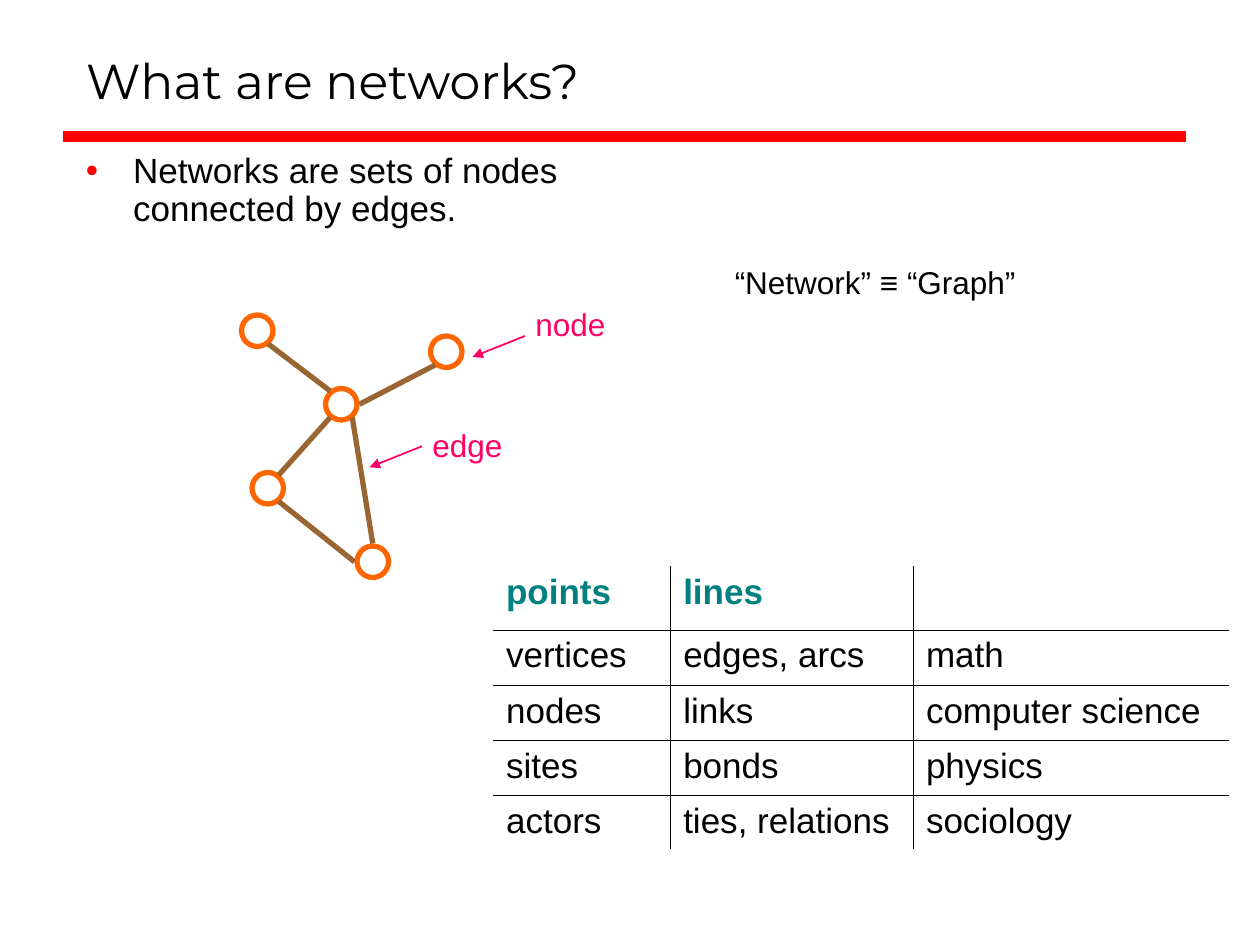
from dataclasses import dataclass

import pptx
import pptx.dml.color
import pptx.enum.shapes
import pptx.enum.text
import pptx.oxml
import pptx.oxml.ns
import pptx.util

PER_INCH = 12  # grid columns and rows to the inch
COLUMNS, ROWS = 120, 90
NODE_RADIUS = 1.5
DIAGONAL = (1.05, 1.26)
SIDE = 1.74


@dataclass(frozen=True)
class Theme:
    ink: str = "000000"
    rule: str = "FF0000"
    heading: str = "008080"
    node: str = "FF6600"
    edge: str = "996633"
    label: str = "FF0066"
    title_font: str = "Montserrat"
    body_font: str = "Arial"
    title_size: int = 28
    body_size: int = 20
    label_size: int = 18


@dataclass(frozen=True)
class Node:
    x: float
    y: float

    def port(self, east: int, south: int) -> tuple[float, float]:
        """Point just outside the circle in a compass direction (-1, 0 or 1 each way)."""
        dx, dy = DIAGONAL if east and south else (SIDE, SIDE)
        return self.x + east * dx, self.y + south * dy


@dataclass(frozen=True)
class Edge:
    start: str
    leaving: tuple[int, int]
    end: str
    arriving: tuple[int, int]


@dataclass(frozen=True)
class Callout:
    text: str
    left: float
    top: float
    arrow_start: tuple[float, float]


THEME = Theme()
NODES = {
    "hub": Node(32.5, 38.5),
    "east": Node(42.5, 33.5),
    "west": Node(25.5, 46.5),
    "south": Node(35.5, 53.5),
    "north": Node(24.5, 31.5),
}
EDGES = [
    Edge("north", (1, 1), "hub", (-1, -1)),
    Edge("hub", (-1, 1), "west", (1, -1)),
    Edge("hub", (1, 1), "south", (0, -1)),
    Edge("west", (1, 1), "south", (-1, 0)),
    Edge("hub", (1, 0), "east", (-1, 1)),
]
CALLOUTS = [
    Callout("node", 49.8, 28.45, (50, 32)),
    Callout("edge", 40, 40, (40.2, 42.5)),
]
CALLOUT_WIDTH = 10
LABEL_HEIGHT = 4.8
ARROW_REACH = (-5, 2)
TERMS = [
    ("points", "lines", ""),
    ("vertices", "edges, arcs", "math"),
    ("nodes", "links", "computer science"),
    ("sites", "bonds", "physics"),
    ("actors", "ties, relations", "sociology"),
]
TERM_COLUMNS = (16.88, 23.12, 30)
HEADER_ROW, TERM_ROW = 6, 5.24


def grid(cells: float) -> pptx.util.Emu:
    return pptx.util.Inches(cells / PER_INCH)


def rgb(colour: str) -> pptx.dml.color.RGBColor:
    return pptx.dml.color.RGBColor.from_string(colour)


def add_xml(parent, markup: str) -> None:
    tag, rest = markup.split(" ", 1)
    parent.append(pptx.oxml.parse_xml(f"<{tag} {pptx.oxml.ns.nsdecls('a')} {rest}"))


def style(paragraph, size: int, colour: str, font: str = THEME.body_font, bold: bool = False) -> None:
    for run in paragraph.runs:
        run.font.name = font
        run.font.size = pptx.util.Pt(size)
        run.font.bold = bold
        run.font.color.rgb = rgb(colour)


def add_text(shapes, text: str, left: float, top: float, width: float, height: float,
             size: int, colour: str):
    box = shapes.add_textbox(grid(left), grid(top), grid(width), grid(height))
    box.text_frame.word_wrap = True
    box.text_frame.text = text
    paragraph = box.text_frame.paragraphs[0]
    style(paragraph, size, colour)
    return paragraph


def add_line(shapes, start: tuple[float, float], end: tuple[float, float],
             colour: str, width: float, arrow: bool = False) -> None:
    line = shapes.add_connector(pptx.enum.shapes.MSO_CONNECTOR.STRAIGHT,
                                *(grid(value) for value in (*start, *end)))
    line.line.color.rgb = rgb(colour)
    line.line.width = pptx.util.Pt(width)
    if arrow:
        add_xml(line.line._get_or_add_ln(), 'a:tailEnd type="triangle"/>')
    add_xml(line._element.spPr, "a:effectLst />")


def add_title(slide) -> None:
    title = slide.shapes.title
    title.left, title.top, title.width, title.height = map(grid, (7, 4, 108, 7))
    frame = title.text_frame
    frame.text = "What are networks?"
    frame.auto_size = pptx.enum.text.MSO_AUTO_SIZE.NONE
    frame.vertical_anchor = pptx.enum.text.MSO_ANCHOR.BOTTOM
    frame.paragraphs[0].alignment = pptx.enum.text.PP_ALIGN.LEFT
    style(frame.paragraphs[0], THEME.title_size, THEME.ink, THEME.title_font)


def add_definition(shapes) -> None:
    definition = add_text(shapes, "Networks are sets of nodes connected by edges.",
                          7, 14, 53, 9, THEME.body_size, THEME.ink)
    definition.line_spacing = 0.9
    properties = definition._p.get_or_add_pPr()
    indent = grid(4.5)
    properties.set("marL", str(indent))
    properties.set("indent", str(-indent))
    add_xml(properties, f'a:buClr ><a:srgbClr val="{THEME.rule}"/></a:buClr>')
    add_xml(properties, 'a:buFont typeface="Arial"/>')
    add_xml(properties, 'a:buChar char="•"/>')


def add_border(cell, side: str) -> None:
    add_xml(cell._tc.get_or_add_tcPr(),
            f'a:ln{side} w="{pptx.util.Pt(0.45)}"><a:solidFill><a:srgbClr val="{THEME.ink}"/>'
            f"</a:solidFill></a:ln{side}>")


def add_terms(shapes) -> None:
    """Table of vocabulary by field, ruled only between its cells."""
    heights = [HEADER_ROW] + [TERM_ROW] * (len(TERMS) - 1)
    table = shapes.add_table(len(TERMS), len(TERM_COLUMNS), grid(47), grid(54),
                             grid(sum(TERM_COLUMNS)), grid(sum(heights))).table
    table.horz_banding = False
    for column, width in zip(table.columns, TERM_COLUMNS):
        column.width = grid(width)
    for row, height in zip(table.rows, heights):
        row.height = grid(height)
    last_row, last_column = len(TERMS) - 1, len(TERM_COLUMNS) - 1
    for r, terms in enumerate(TERMS):
        for c, term in enumerate(terms):
            cell = table.cell(r, c)
            inner_sides = {"L": c > 0, "R": c < last_column, "T": r > 0, "B": r < last_row}
            for side, inner in inner_sides.items():
                if inner:
                    add_border(cell, side)
            cell.fill.background()
            cell.text_frame.text = term
            style(cell.text_frame.paragraphs[0], THEME.body_size,
                  THEME.ink if r else THEME.heading, bold=r == 0)


def add_network(shapes) -> None:
    for node in NODES.values():
        circle = shapes.add_shape(pptx.enum.shapes.MSO_SHAPE.OVAL,
                                  grid(node.x - NODE_RADIUS), grid(node.y - NODE_RADIUS),
                                  grid(2 * NODE_RADIUS), grid(2 * NODE_RADIUS))
        circle.shadow.inherit = False
        circle.fill.background()
        circle.line.color.rgb = rgb(THEME.node)
        circle.line.width = pptx.util.Pt(3)
    for edge in EDGES:
        add_line(shapes, NODES[edge.start].port(*edge.leaving),
                 NODES[edge.end].port(*edge.arriving), THEME.edge, 3)
    for callout in CALLOUTS:
        x, y = callout.arrow_start
        add_line(shapes, (x, y), (x + ARROW_REACH[0], y + ARROW_REACH[1]), THEME.label, 1, arrow=True)
        add_text(shapes, callout.text, callout.left, callout.top, CALLOUT_WIDTH, LABEL_HEIGHT,
                 THEME.label_size, THEME.label)


def main() -> None:
    deck = pptx.Presentation()
    deck.slide_width, deck.slide_height = grid(COLUMNS), grid(ROWS)
    slide = deck.slides.add_slide(deck.slide_layouts.get_by_name("Title Only"))
    add_line(slide.shapes, (6, 13), (113, 13), THEME.rule, 6)
    add_title(slide)
    add_definition(slide.shapes)
    add_text(slide.shapes, "“Network” ≡ “Graph”", 68.8, 24.5, 31.2, LABEL_HEIGHT,
             THEME.label_size, THEME.ink)
    add_terms(slide.shapes)
    add_network(slide.shapes.add_group_shape().shapes)
    deck.save("out.pptx")


if __name__ == "__main__":
    main()
